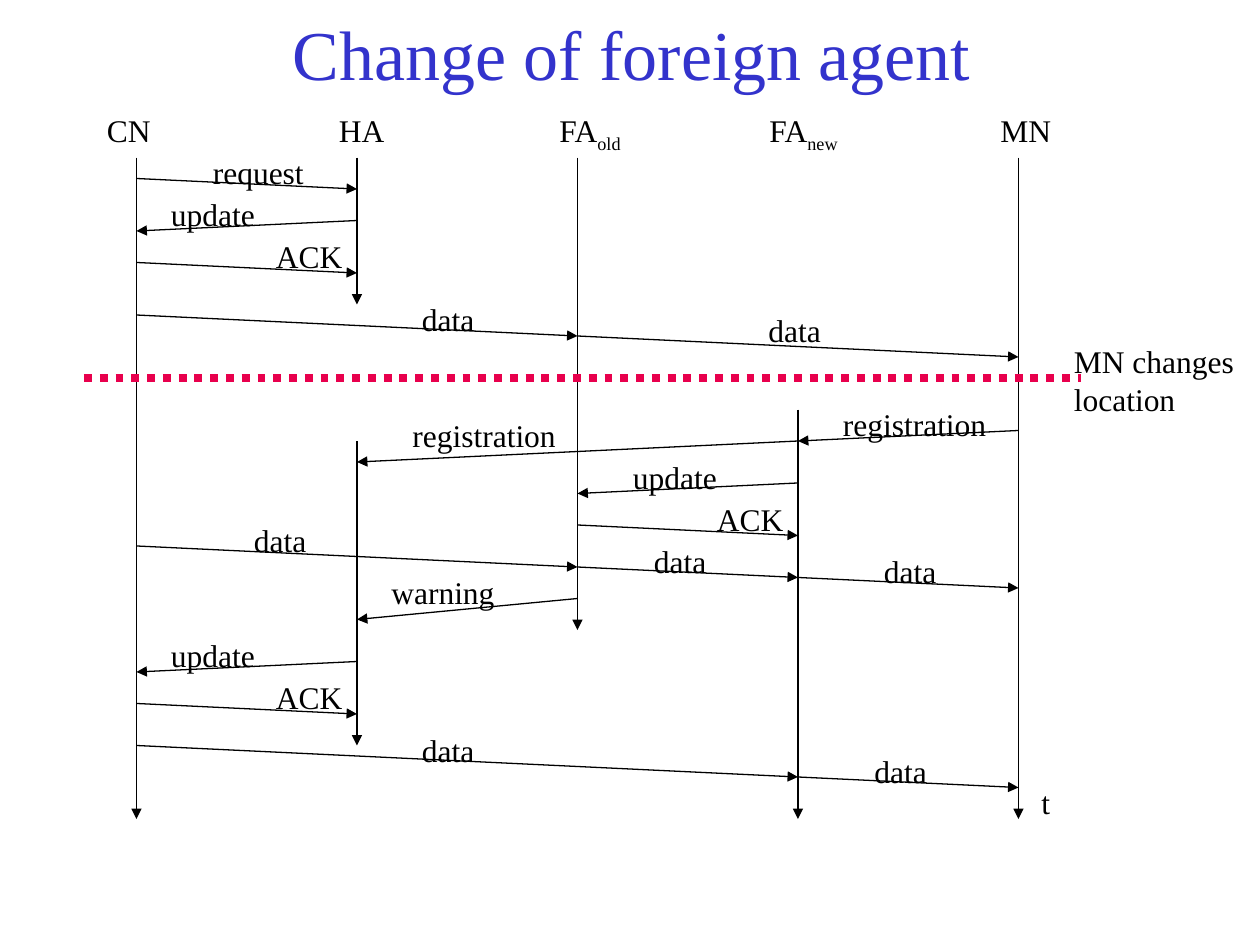
from lxml.etree import SubElement
from pptx import Presentation
from pptx.dml.color import RGBColor
from pptx.enum.dml import MSO_LINE
from pptx.enum.shapes import MSO_CONNECTOR
from pptx.enum.text import MSO_ANCHOR, MSO_AUTO_SIZE, PP_ALIGN
from pptx.oxml.ns import qn
from pptx.util import Pt

PX = 7620  # EMU per px, 120 px to the inch
COLORS = {"title": "3333CC", "ink": "000000", "divider": "E8004D"}
FONT = "Times New Roman"

# Name, subscript, label offset from the lifeline, label width, (start, end) spans
LANES = [
    ("CN", "", -40, 68, [(50, 680)]),
    ("HA", "", -29, 70, [(50, 190), (320, 610)]),
    ("FA", "old", -29, 87, [(50, 500)]),
    ("FA", "new", -39, 94, [(290, 680)]),
    ("MN", "", -29, 75, [(50, 680)]),
]

# Label, label x, label y, from lane, start y, to lane, end y
MESSAGES = [
    ("request", 61, 40, 0, 70, 1, 80),
    ("update", 21, 80, 1, 110, 0, 120),
    ("ACK", 121, 120, 0, 150, 1, 160),
    ("data", 260, 180, 0, 200, 2, 220),
    ("data", 590, 190, 2, 220, 4, 240),
    ("registration", 661, 280, 4, 310, 3, 320),
    ("registration", 251, 290, 3, 320, 1, 340),
    ("update", 461, 330, 3, 360, 2, 370),
    ("ACK", 541, 370, 2, 400, 3, 410),
    ("data", 100, 390, 0, 420, 2, 440),
    ("data", 481, 410, 2, 440, 3, 450),
    ("data", 700, 420, 3, 450, 4, 460),
    ("warning", 231, 440, 2, 470, 1, 490),
    ("update", 21, 500, 1, 530, 0, 540),
    ("ACK", 121, 540, 0, 570, 1, 580),
    ("data", 260, 590, 0, 610, 3, 640),
    ("data", 691, 610, 3, 640, 4, 650),
]
LABEL_WIDTHS = {"request": 113, "update": 106, "ACK": 91, "data": 76,
                "registration": 164, "warning": 125}


def add_text(slide, left, top, width, height, text, subscript=""):
    shape = slide.shapes.add_textbox(left * PX, top * PX, width * PX, height * PX)
    text_frame = shape.text_frame
    text_frame.word_wrap = False
    text_frame.auto_size = MSO_AUTO_SIZE.SHAPE_TO_FIT_TEXT
    paragraph = text_frame.paragraphs[0]
    paragraph.text = text
    if subscript:
        run = paragraph.add_run()
        run.text = subscript
        run.font._element.set("baseline", "-25000")
    for run in paragraph.runs:
        format_run(run, 18, "ink")


def format_run(run, size, color):
    run.font.name = FONT
    run.font.size = Pt(size)
    run.font.color.rgb = RGBColor.from_string(COLORS[color])


def add_line(slide, x1, y1, x2, y2, color="ink", width=0.75):
    line = slide.shapes.add_connector(
        MSO_CONNECTOR.STRAIGHT, x1 * PX, y1 * PX, x2 * PX, y2 * PX)
    line.line.color.rgb = RGBColor.from_string(COLORS[color])
    line.line.width = Pt(width)
    SubElement(line._element.spPr, qn("a:effectLst"))
    return line


def add_arrow(slide, x1, y1, x2, y2):
    arrow = add_line(slide, x1, y1, x2, y2)
    SubElement(arrow.line._get_or_add_ln(), qn("a:tailEnd"), type="triangle")


def add_title(slide, left, top, width, height):
    shape = slide.shapes.add_textbox(left * PX, top * PX, width * PX, height * PX)
    text_frame = shape.text_frame
    text_frame.word_wrap = True
    text_frame.vertical_anchor = MSO_ANCHOR.MIDDLE
    paragraph = text_frame.paragraphs[0]
    paragraph.text = "Change of foreign agent"
    paragraph.alignment = PP_ALIGN.CENTER
    format_run(paragraph.runs[0], 40, "title")


def add_sequence_diagram(slide, left, top, width):
    lane_step = width // (len(LANES) - 1)
    lane_x = [left + index * lane_step for index in range(len(LANES))]

    # Participants and their lifelines
    for x, (name, subscript, offset, label_width, spans) in zip(lane_x, LANES):
        label_height = 53 if subscript else 48
        add_text(slide, x + offset, top, label_width, label_height, name, subscript)
        for start, end in spans:
            add_arrow(slide, x, top + start, x, top + end)
    add_text(slide, left + width + 10, top + 640, 35, 48, "t")

    # Change of location
    divider = add_line(slide, left - 50, top + 260, left + width + 60, top + 260,
                       "divider", 4.5)
    divider.line.dash_style = MSO_LINE.ROUND_DOT
    add_text(slide, left + width + 41, top + 220, 180, 84, "MN changes\vlocation")

    # Messages
    for label, label_x, label_y, source, start, target, end in MESSAGES:
        add_arrow(slide, lane_x[source], top + start, lane_x[target], top + end)
        add_text(slide, left + label_x, top + label_y, LABEL_WIDTHS[label], 48, label)


def main():
    presentation = Presentation()
    presentation.slide_width = 1200 * PX
    presentation.slide_height = 900 * PX
    slide = presentation.slides.add_slide(presentation.slide_layouts[6])
    add_title(slide, 100, 20, 1003, 60)
    add_sequence_diagram(slide, 130, 100, 840)
    presentation.save("out.pptx")


if __name__ == "__main__":
    main()
